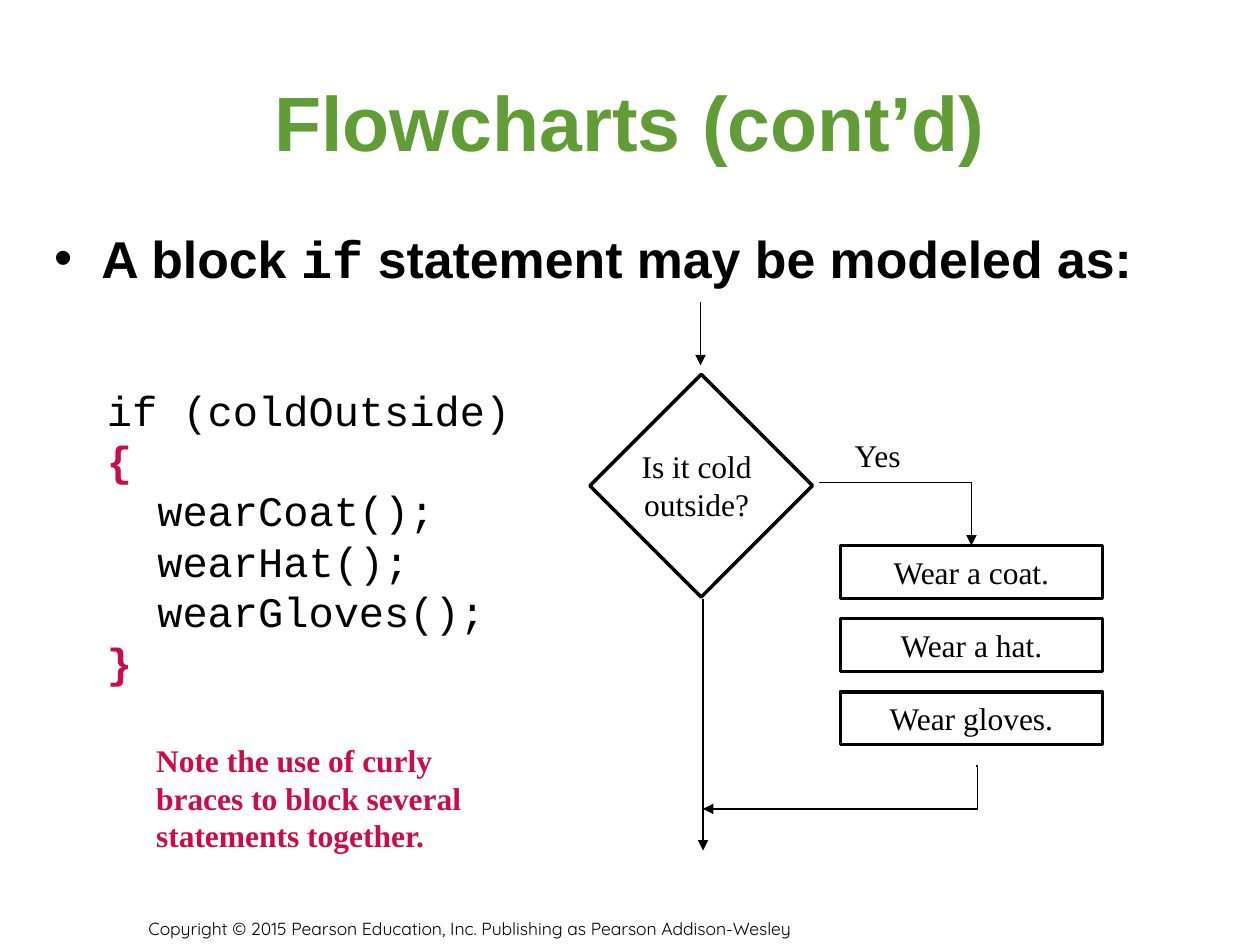
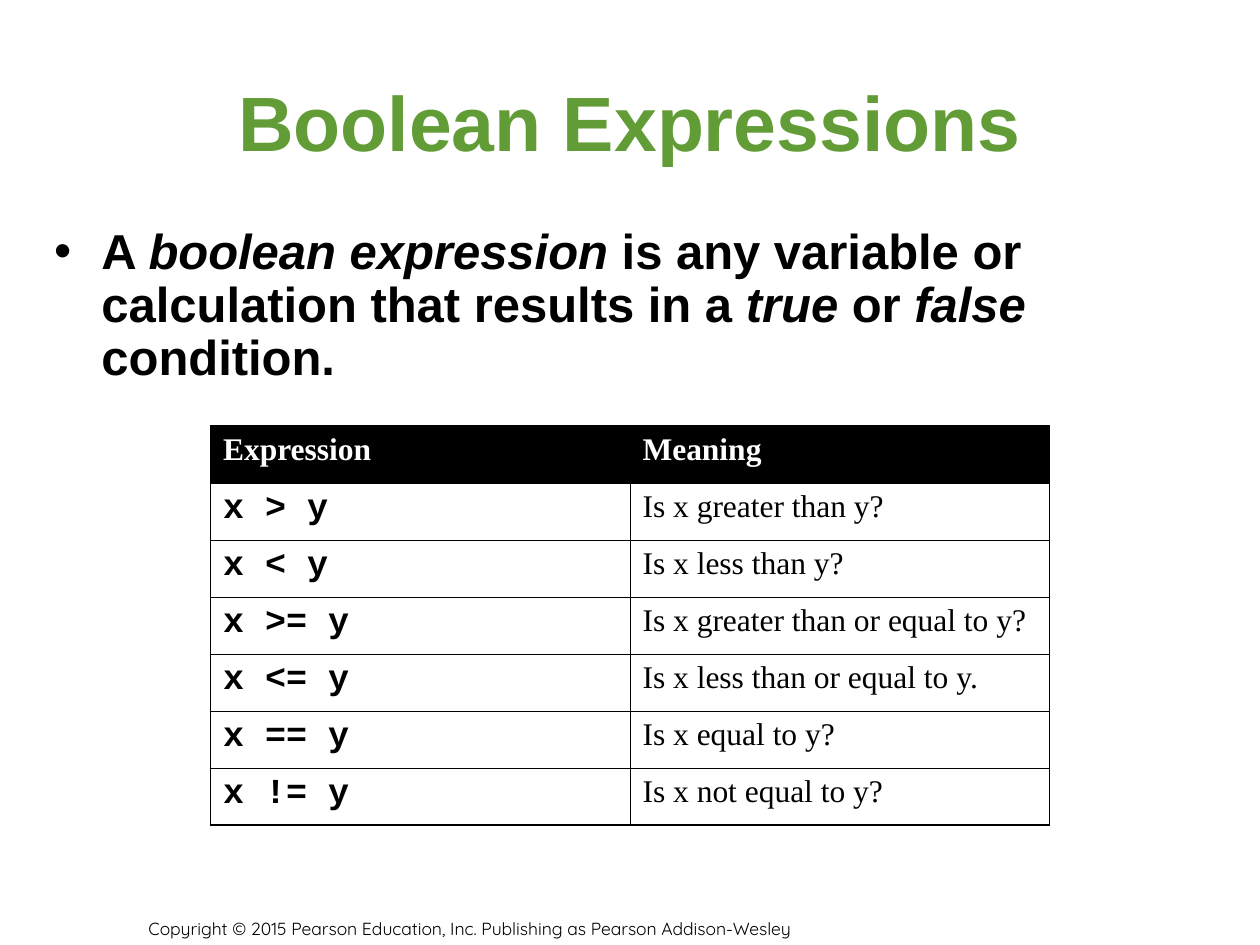
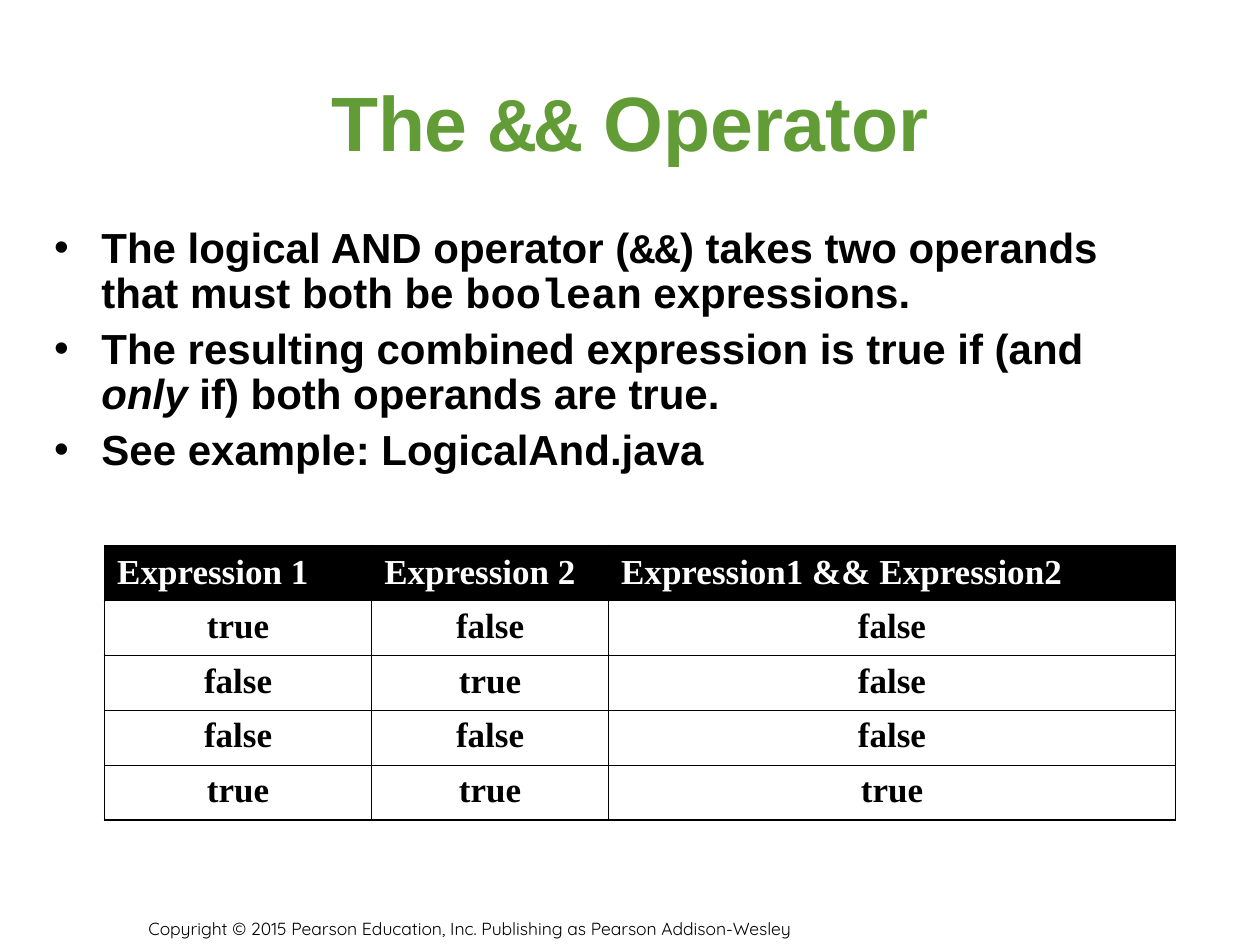
from dataclasses import dataclass

from lxml import etree
from pptx import Presentation
from pptx.dml.color import RGBColor
from pptx.enum.shapes import MSO_CONNECTOR, MSO_SHAPE
from pptx.enum.text import MSO_ANCHOR, MSO_AUTO_SIZE, PP_ALIGN
from pptx.oxml.ns import qn
from pptx.util import Inches, Pt

LEFT, CENTER = PP_ALIGN.LEFT, PP_ALIGN.CENTER
TOP, MIDDLE, BOTTOM = MSO_ANCHOR.TOP, MSO_ANCHOR.MIDDLE, MSO_ANCHOR.BOTTOM
NO_FIT, FIT_SHAPE = MSO_AUTO_SIZE.NONE, MSO_AUTO_SIZE.SHAPE_TO_FIT_TEXT
RECTANGLE = MSO_SHAPE.RECTANGLE
STRAIGHT, ELBOW = MSO_CONNECTOR.STRAIGHT, MSO_CONNECTOR.ELBOW


@dataclass(frozen=True)
class Theme:
    green: RGBColor = RGBColor(0x62, 0x9C, 0x36)
    crimson: RGBColor = RGBColor(0xCA, 0x0C, 0x48)
    black: RGBColor = RGBColor(0, 0, 0)
    white: RGBColor = RGBColor(0xFF, 0xFF, 0xFF)
    sans: str = "Arial"
    mono: str = "Courier New"
    serif: str = "Times New Roman"
    footer_font: str = "Quicksand"
    title_size: float = 44
    code_size: float = 24
    label_size: float = 18
    table_size: float = 20
    footer_size: float = 10
    box_line: float = 2
    arrow_line: float = 0.75
    outer_border: float = 1.08
    inner_border: float = 0.45


theme = Theme()


def write(frame, lines, size, font, color=theme.black, bold=False,
          alignment=LEFT, line_spacing=1.0, space_before=0):
    """Fill a text frame; a line is a string or a list of (text, style) runs."""
    for index, line in enumerate(lines):
        paragraph = frame.add_paragraph() if index else frame.paragraphs[0]
        paragraph.alignment = alignment
        paragraph.line_spacing = line_spacing
        paragraph.space_before = Pt(space_before if index else 0)
        paragraph.font.size = Pt(size)
        paragraph.font.name = font
        paragraph.font.color.rgb = color
        paragraph.font.bold = bold
        for text, style in [(line, "")] if isinstance(line, str) else line:
            if style == "break":
                paragraph.add_line_break()
                continue
            run = paragraph.add_run()
            run.text = text
            if style == "code":
                run.font.name = theme.mono
            elif style == "italic":
                run.font.italic = True
            elif style == "accent":
                run.font.color.rgb = theme.crimson
                run.font.bold = True


def set_borders(cell, widths):
    """Draw black cell borders; widths are left, right, top, bottom in points."""
    properties = cell._tc.get_or_add_tcPr()
    for index, (side, width) in enumerate(zip("LRTB", widths)):
        border = etree.Element(qn(f"a:ln{side}"), w=str(Pt(width)))
        fill = etree.SubElement(border, qn("a:solidFill"))
        etree.SubElement(fill, qn("a:srgbClr"), val=str(theme.black))
        properties.insert(index, border)


presentation = Presentation()
presentation.slide_width = Inches(10)
presentation.slide_height = Inches(7.5)
layout = presentation.slide_layouts[1]

# Titles and bullet lists
outlines = [
    dict(title="Flowcharts (cont’d)", height=1.13, size=29.6, line_spacing=1.0,
         bullets=[[("A block ", ""), ("if", "code"),
                   (" statement may be modeled as:", "")]]),
    dict(title="Boolean Expressions", height=1.69, size=28, line_spacing=0.9,
         bullets=[[("A ", ""), ("boolean expression", "italic"),
                   (" is any variable or calculation that results in a ", ""),
                   ("true", "italic"), (" or ", ""), ("false", "italic"),
                   (" condition.", "")]]),
    dict(title=[("The ", ""), ("&&", "code"), (" Operator", "")],
         height=2.42, size=24, line_spacing=0.9,
         bullets=[[("The logical AND operator (", ""), ("&&", "code"),
                   (") takes two operands that must both be ", ""),
                   ("boolean", "code"), (" expressions.", "")],
                  [("The resulting combined expression is true if (and ", ""),
                   ("only", "italic"), (" if) both operands are true.", "")],
                  "See example: LogicalAnd.java"]),
]
slides = []
for outline in outlines:
    slide = presentation.slides.add_slide(layout)
    slides.append(slide)
    title, body = slide.placeholders
    title.left, title.top = Inches(0.5), Inches(0.33)
    title.width, title.height = Inches(9), Inches(1.25)
    title.text_frame.vertical_anchor = MIDDLE
    write(title.text_frame, [outline["title"]], theme.title_size, theme.sans,
          theme.green, True, CENTER)
    body.left, body.top = Inches(0.33), Inches(1.75)
    body.width, body.height = Inches(9.07), Inches(outline["height"])
    body.text_frame.auto_size = NO_FIT
    write(body.text_frame, outline["bullets"], outline["size"], theme.sans,
          bold=True, line_spacing=outline["line_spacing"], space_before=6)

# Footer, moved to the slide master so that every slide shows it
footer = slides[0].shapes.add_textbox(Inches(1.08), Inches(7.17), Inches(7.16), Inches(0.33))
footer.text_frame.word_wrap = True
footer.text_frame.vertical_anchor = BOTTOM
write(footer.text_frame,
      ["Copyright © 2015 Pearson Education, Inc. Publishing as Pearson Addison-Wesley"],
      theme.footer_size, theme.footer_font)
presentation.slide_master.shapes.element.append(footer.element)

# Flowchart: decision and action boxes
flowchart = slides[0].shapes
boxes = [("", 4.94, 3.23, 1.25, 1.25, 45)]
for index, action in enumerate(["Wear a coat.", "Wear a hat.", "Wear gloves."]):
    boxes.append((action, 6.67, 4.33 + 0.58 * index, 2.08, 0.42, 0))
for text, left, top, width, height, rotation in boxes:
    box = flowchart.add_shape(RECTANGLE, Inches(left), Inches(top),
                              Inches(width), Inches(height))
    box.rotation = rotation
    box.shadow.inherit = False
    box.fill.solid()
    box.fill.fore_color.rgb = theme.white
    box.line.color.rgb = theme.black
    box.line.width = Pt(theme.box_line)
    if text:
        box.text_frame.vertical_anchor = MIDDLE
        box.text_frame.word_wrap = False
        write(box.text_frame, [text], theme.label_size, theme.serif, alignment=CENTER)

# Flowchart: arrows, with the preset and the bend position of the elbows
arrows = [
    (5.56, 2.4, 5.56, 2.9, None, None),
    (5.58, 4.75, 5.58, 6.75, None, None),
    (6.5, 3.83, 7.71, 4.33, "bentConnector2", None),
    (7.75, 6.08, 5.58, 6.42, "bentConnector3", -500),
]
for start_x, start_y, end_x, end_y, preset, bend in arrows:
    arrow = flowchart.add_connector(ELBOW if preset else STRAIGHT, Inches(start_x),
                                    Inches(start_y), Inches(end_x), Inches(end_y))
    arrow.line.color.rgb = theme.black
    arrow.line.width = Pt(theme.arrow_line)
    properties = arrow.element.spPr
    etree.SubElement(properties.find(qn("a:ln")), qn("a:tailEnd"), type="triangle")
    etree.SubElement(properties, qn("a:effectLst"))
    geometry = properties.find(qn("a:prstGeom"))
    if preset:
        geometry.set("prst", preset)
    if bend is not None:
        adjustments = geometry.find(qn("a:avLst"))
        etree.SubElement(adjustments, qn("a:gd"), name="adj1", fmla=f"val {bend}")

# Flowchart: labels, code and note
code_lines = [
    [("if (coldOutside)", ""), ("", "break"), ("{", "accent")],
    "  wearCoat();",
    "  wearHat();",
    "  wearGloves();",
    [("}", "accent")],
]
note_lines = ["Note the use of curly", "braces to block several", "statements together."]
label = dict(size=theme.label_size, font=theme.serif)
texts = [
    (6.67, 3.41, 0.59, 0.4, False, ["Yes"], dict(label, alignment=CENTER)),
    (4.88, 3.5, 1.3, 0.7, False, ["Is it cold", "outside?"], dict(label, alignment=CENTER)),
    (0.75, 3, 3.58, 2.5, True, code_lines, dict(size=theme.code_size, font=theme.mono)),
    (1.14, 5.83, 2.62, 1, False, note_lines, dict(label, color=theme.crimson, bold=True)),
]
for left, top, width, height, wrap, lines, style in texts:
    text_box = flowchart.add_textbox(Inches(left), Inches(top), Inches(width), Inches(height))
    text_box.text_frame.word_wrap = wrap
    text_box.text_frame.auto_size = FIT_SHAPE
    write(text_box.text_frame, lines, **style)

# Tables: each column has its own body style
expression_style = dict(size=theme.table_size, font=theme.mono, bold=True)
meaning_style = dict(size=theme.label_size, font=theme.serif)
truth_style = dict(size=theme.table_size, font=theme.serif, bold=True, alignment=CENTER)
tables = [
    dict(slide=slides[1], left=1.67, top=3.38, height=3.17, columns=[3.33, 3.33],
         header_size=theme.label_size, header_anchor=TOP,
         styles=[expression_style, meaning_style],
         rows=[("Expression", "Meaning"),
               ("x > y", "Is x greater than y?"),
               ("x < y", "Is x less than y?"),
               ("x >= y", "Is x greater than or equal to y?"),
               ("x <= y", "Is x less than or equal to y."),
               ("x == y", "Is x equal to y?"),
               ("x != y", "Is x not equal to y?")]),
    dict(slide=slides[2], left=0.83, top=4.33, height=2.18, columns=[2.12, 1.88, 4.5],
         header_size=theme.table_size, header_anchor=MIDDLE,
         styles=[truth_style] * 3,
         rows=[("Expression 1", "Expression 2", "Expression1 && Expression2"),
               ("true", "false", "false"),
               ("false", "true", "false"),
               ("false", "false", "false"),
               ("true", "true", "true")]),
]
for plan in tables:
    rows, columns = plan["rows"], plan["columns"]
    table = plan["slide"].shapes.add_table(
        len(rows), len(columns), Inches(plan["left"]), Inches(plan["top"]),
        Inches(sum(columns)), Inches(plan["height"])).table
    table.horz_banding = False
    for column, width in zip(table.columns, columns):
        column.width = Inches(width)
    for row_index, row in enumerate(rows):
        for column_index, text in enumerate(row):
            cell = table.cell(row_index, column_index)
            if row_index == 0:
                cell.fill.solid()
                cell.fill.fore_color.rgb = theme.black
                cell.vertical_anchor = plan["header_anchor"]
                write(cell.text_frame, [text], plan["header_size"], theme.serif,
                      theme.white, True)
            else:
                cell.fill.background()
                write(cell.text_frame, [text], **plan["styles"][column_index])
            on_edge = [column_index == 0, column_index == len(columns) - 1,
                       row_index == 0, row_index == len(rows) - 1]
            set_borders(cell, [theme.outer_border if edge else theme.inner_border
                               for edge in on_edge])

presentation.save("out.pptx")
